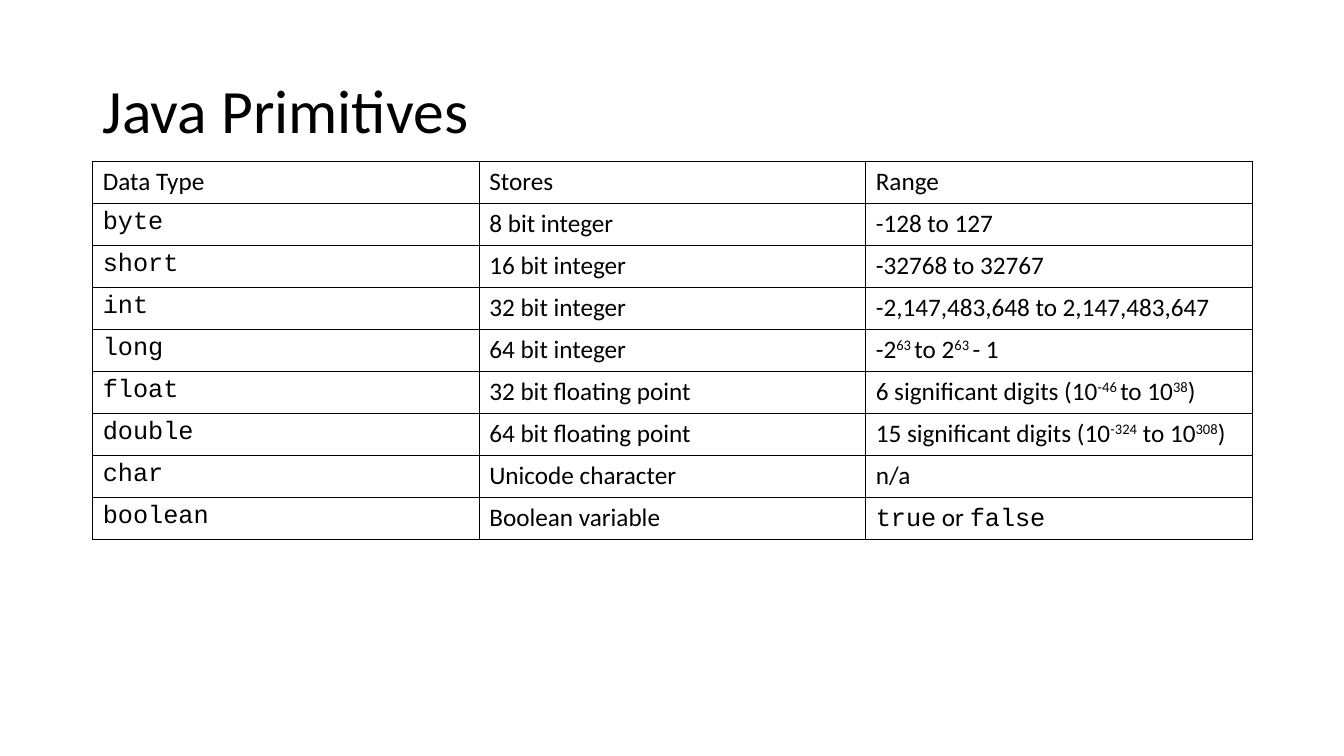
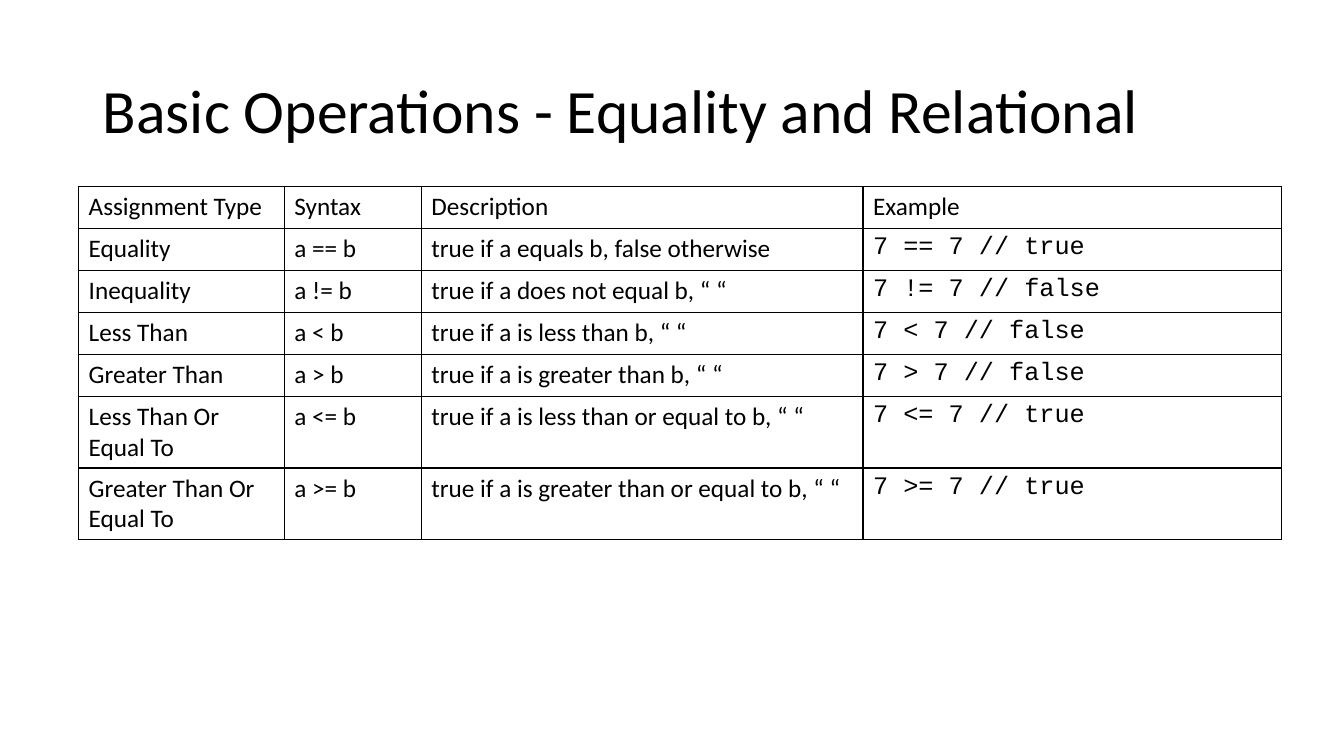
"""Build two slides of Java reference tables: primitive types and comparison operators."""
from lxml import etree
from pptx import Presentation
from pptx.dml.color import RGBColor
from pptx.enum import text
from pptx.oxml import ns
from pptx.util import Inches, Pt

INK = "000000"
BODY_FONT, CODE_FONT = "Calibri", "Courier New"


def style(font, size, face=BODY_FONT):
    font.name, font.size = face, Pt(size)
    font.color.rgb = RGBColor.from_string(INK)


def add_borders(cell):
    properties = cell._tc.get_or_add_tcPr()
    for side in ("a:lnL", "a:lnR", "a:lnT", "a:lnB"):
        line = etree.SubElement(properties, ns.qn(side), w=str(Pt(1)))
        fill = etree.SubElement(line, ns.qn("a:solidFill"))
        etree.SubElement(fill, ns.qn("a:srgbClr"), val=INK)


# Cell markup: `code` is monospaced, ^text^ is superscript.
primitives = [
    ["Data Type", "Stores", "Range"],
    ["`byte`", "8 bit integer", "-128 to 127"],
    ["`short`", "16 bit integer", "-32768 to 32767"],
    ["`int`", "32 bit integer", "-2,147,483,648 to 2,147,483,647"],
    ["`long`", "64 bit integer", "-2^63 ^to 2^63 ^- 1"],
    ["`float`", "32 bit floating point", "6 significant digits (10^-46 ^to 10^38^)"],
    ["`double`", "64 bit floating point", "15 significant digits (10^-324^ to 10^308^)"],
    ["`char`", "Unicode character", "n/a"],
    ["`boolean`", "Boolean variable", "`true` or `false`"],
]
comparisons = [
    ["Assignment Type", "Syntax", "Description", "Example"],
    ["Equality", "a == b", "true if a equals b, false otherwise", "`7 == 7 // true`"],
    ["Inequality", "a != b", "true if a does not equal b, “ “", "`7 != 7 // false`"],
    ["Less Than", "a < b", "true if a is less than b, “ “", "`7 < 7 // false`"],
    ["Greater Than", "a > b", "true if a is greater than b, “ “", "`7 > 7 // false`"],
    ["Less Than Or Equal To", "a <= b",
     "true if a is less than or equal to b, “ “", "`7 <= 7 // true`"],
    ["Greater Than Or Equal To", "a >= b",
     "true if a is greater than or equal to b, “ “", "`7 >= 7 // true`"],
]
pages = [
    ("Java Primitives", primitives, 0.92, 1.6, [11.5 / 3] * 3),
    ("Basic Operations - Equality and Relational", comparisons,
     0.78, 1.85, [2.04, 1.36, 4.38, 4.15]),
]
row_height = 3.75 / len(primitives)

deck = Presentation()
deck.slide_width, deck.slide_height = Inches(13.33), Inches(7.5)
title_only = deck.slide_layouts[5]

for heading, rows, left, top, widths in pages:
    slide = deck.slides.add_slide(title_only)
    title = slide.shapes.title
    title.left, title.top = Inches(0.92), Inches(0.4)
    title.width, title.height = Inches(11.5), Inches(1.45)
    title.text_frame.vertical_anchor = text.MSO_ANCHOR.MIDDLE
    heading_line = title.text_frame.paragraphs[0]
    heading_line.alignment = text.PP_ALIGN.LEFT
    heading_line.line_spacing = 0.9
    heading_run = heading_line.add_run()
    heading_run.text = heading
    style(heading_run.font, 44)

    table = slide.shapes.add_table(
        len(rows), len(widths), Inches(left), Inches(top),
        Inches(sum(widths)), Inches(row_height * len(rows))).table
    table.first_row = table.horz_banding = False
    for column, width in zip(table.columns, widths):
        column.width = Inches(width)

    for row, entries in zip(table.rows, rows):
        for cell, entry in zip(row.cells, entries):
            add_borders(cell)
            cell.fill.background()
            paragraph = cell.text_frame.paragraphs[0]
            for part, chunk in enumerate(entry.split("`")):
                face = CODE_FONT if part % 2 else BODY_FONT
                for level, piece in enumerate(chunk.split("^")):
                    if not piece:
                        continue
                    run = paragraph.add_run()
                    run.text = piece
                    style(run.font, 18, face)
                    if level % 2:
                        run.font._element.set("baseline", "30000")

deck.save("out.pptx")
